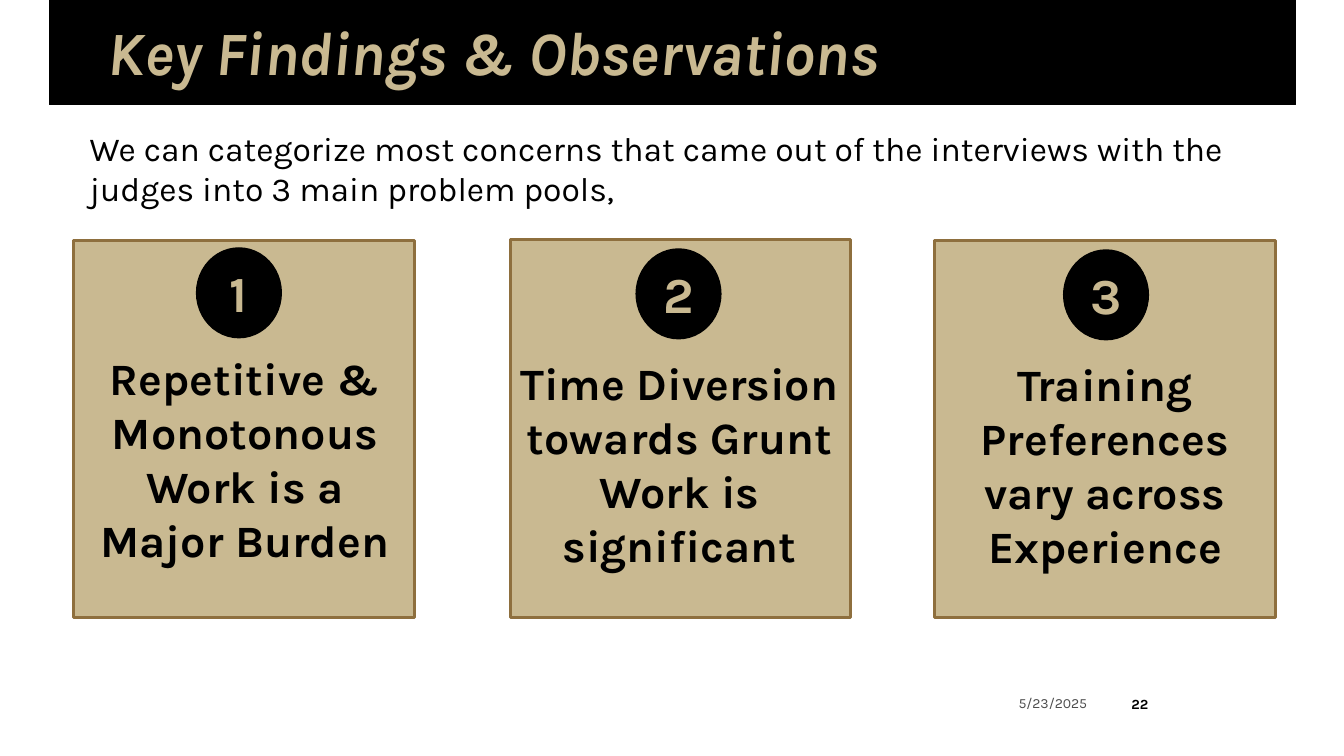
from pptx import Presentation
from pptx import util as u
from pptx.dml.color import RGBColor
from pptx.enum import shapes, text

PX = 9144
FONT = "Karla"
BLACK = RGBColor(0x00, 0x00, 0x00)
GOLD = RGBColor(0xC9, 0xB9, 0x91)
BROWN = RGBColor(0x8E, 0x6F, 0x3E)
GREY = RGBColor(0x4D, 0x4D, 0x4D)
RECT = shapes.MSO_SHAPE.RECTANGLE
OVAL = shapes.MSO_SHAPE.OVAL
LEFT, MID, RIGHT = text.PP_ALIGN.LEFT, text.PP_ALIGN.CENTER, text.PP_ALIGN.RIGHT
TOP, CORE = text.MSO_ANCHOR.TOP, text.MSO_ANCHOR.MIDDLE

CARDS = [
    ((73, 239, 338, 374), 122, 7, (1, 103), "Repetitive & Monotonous Work is a Major Burden"),
    ((506, 238, 338, 375), 125, 9, (-1, 109), "Time Diversion towards Grunt Work is significant"),
    ((927, 239, 338, 374), 128, 9, (0, 109), "Training Preferences vary across Experience"),
]


def scale(box):
    return [u.Emu(n * PX) for n in box]


def write(shape, words, size, color=BLACK, bold=False, slant=False,
          align=LEFT, anchor=TOP, inset=(10, 5), space=None):
    frame = shape.text_frame
    frame.word_wrap = True
    frame.vertical_anchor = anchor
    side, edge = scale(inset)
    frame.margin_left = frame.margin_right = side
    frame.margin_top = frame.margin_bottom = edge
    para = frame.paragraphs[0]
    para.alignment = align
    if space:
        para.line_spacing = space
    run = para.add_run()
    run.text = words
    font = run.font
    font.name, font.size = FONT, u.Pt(size)
    font.bold, font.italic = bold, slant
    font.color.rgb = color


def label(slide, box, words, size, **style):
    write(slide.shapes.add_textbox(*scale(box)), words, size, **style)


def block(slide, kind, box, fill=None, line=None, width=1):
    shape = slide.shapes.add_shape(kind, *scale(box))
    shape.shadow.inherit = False
    if fill is None:
        shape.fill.background()
    else:
        shape.fill.solid()
        shape.fill.fore_color.rgb = fill
    if line is None:
        shape.line.fill.background()
    else:
        shape.line.color.rgb = line
        shape.line.width = u.Pt(width)
    return shape


def header(slide, box):
    x, y, w, h = box
    block(slide, RECT, box, BLACK, BLACK)
    label(slide, (x + 58, y + 22, w - 177, 67), "Key Findings & Observations", 44,
          color=GOLD, bold=True, slant=True, inset=(0, 0), space=0.9)


def card(slide, box, dot, drop, shift, number, words):
    x, y, w, h = box
    dx, dy = shift
    block(slide, RECT, box, GOLD, BROWN, 2.25)
    label(slide, (x + dx, y + dy, w, 226), words, 32, bold=True, align=MID, anchor=CORE)
    badge = block(slide, OVAL, (x + dot, y + drop, 84, 89), BLACK, BLACK)
    write(badge, str(number), 36, color=GOLD, bold=True, align=MID, anchor=CORE)


def footer(slide, box):
    x, y, w, h = box
    label(slide, (x, y + 2, 112, 35), "5/23/2025", 10, color=GREY, align=RIGHT, anchor=CORE)
    page = block(slide, OVAL, (x + w - 53, y, 53, h))
    write(page, "22", 10, bold=True, align=MID, anchor=CORE, inset=(2, 5))


def main():
    deck = Presentation()
    deck.slide_width, deck.slide_height = scale((1333, 750))
    slide = deck.slides.add_slide(deck.slide_layouts[6])
    header(slide, (49, 0, 1236, 104))
    label(slide, (79, 122, 1182, 91),
          "We can categorize most concerns that came out of the interviews "
          "with the judges into 3 main problem pools,", 24)
    for number, (box, dot, drop, shift, words) in enumerate(CARDS, 1):
        card(slide, box, dot, drop, shift, number, words)
    footer(slide, (976, 678, 181, 40))
    deck.save("out.pptx")


if __name__ == "__main__":
    main()
